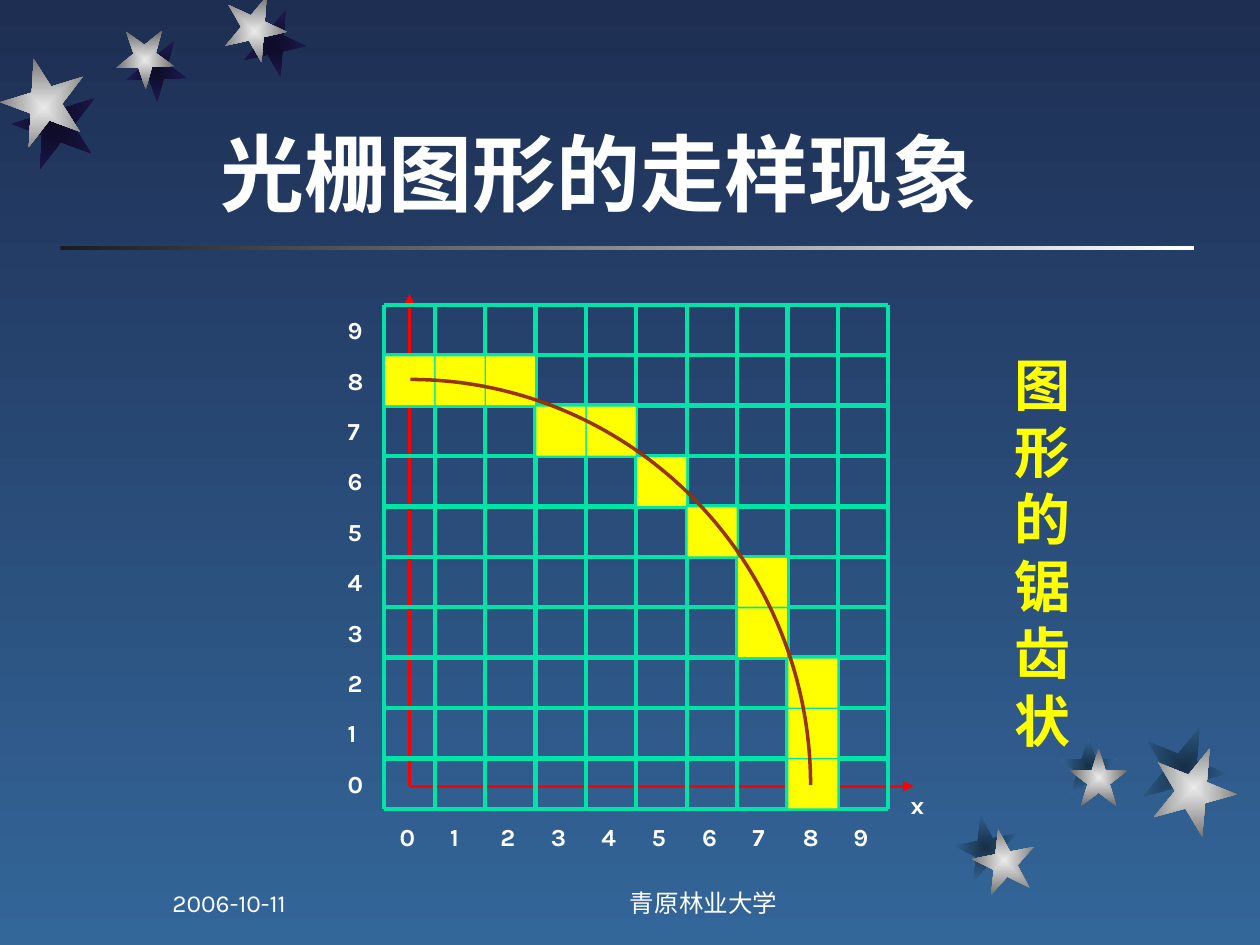
import pptx
import pptx.dml.color
import pptx.enum.shapes
import pptx.enum.text
import pptx.oxml
import pptx.oxml.ns
import pptx.util

SHAPE = pptx.enum.shapes.MSO_SHAPE
ANCHOR = pptx.enum.text.MSO_ANCHOR
ALIGN = pptx.enum.text.PP_ALIGN
WIDTH, HEIGHT = pptx.util.Inches(10), pptx.util.Inches(7.5)
CELL = pptx.util.Inches(0.4)
GRID_LEFT, GRID_TOP = pptx.util.Inches(3.05), pptx.util.Inches(2.42)
N = 10

SILVER = ("EAEAEA", "6B6B6B")
NIGHT_SHADE = ("0D0B26", "1E1A53")
BLUE_SHADE = ("172F46", "336699")
# Left and top in percent of the slide, size in percent of its width, rotation
STARS = [
    (NIGHT_SHADE, [(19.2, 1.5, 5, 167.3), (10, 4.4, 4.8, 178.3), (1, 9.2, 6.7, 200.3)]),
    (SILVER, [(17.7, 0, 5, 167.3), (9.2, 3.3, 4.6, 178.3), (0.1, 6.9, 6.7, 200.3)]),
    (BLUE_SHADE, [(75.8, 86.3, 5, 349), (84.1, 78, 4.6, 0), (90.6, 76.7, 6.7, 22)]),
    (SILVER, [(77.2, 87.7, 5, 349), (84.9, 79.2, 4.6, 0), (91.4, 78.9, 6.7, 22)]),
]
# Lit columns of each grid row, from the top row down
LIT = [[], [0, 1, 2], [3, 4], [5], [6], [7], [7], [8], [8], [8]]


def rgb(color):
    return pptx.dml.color.RGBColor.from_string(color)


def share(left, top, width, height):
    """Box in percent of the slide."""
    return [int(v * full / 100) for v, full in
            zip((left, top, width, height), (WIDTH, HEIGHT) * 2)]


def grid(col, row, cols, rows):
    """Box in columns and rows of the pixel grid."""
    return [int(GRID_LEFT + col * CELL), int(GRID_TOP + row * CELL),
            int(cols * CELL), int(rows * CELL)]


def set_gradient(fill, colors, angle=0):
    fill.gradient()
    fill.gradient_angle = angle
    for stop, color in zip(fill.gradient_stops, colors):
        stop.color.rgb = rgb(color)


def add_shape(s, kind, box):
    sp = s.shapes.add_shape(kind, *box)
    sp.shadow.inherit = False
    sp.line.fill.background()
    return sp


def add_star(s, colors, left, top, size, rotation):
    box = share(left, top, size, size * WIDTH / HEIGHT)
    sp = add_shape(s, SHAPE.STAR_5_POINT, box)
    sp.rotation = rotation
    set_gradient(sp.fill, colors)
    lin = sp._element.spPr.find(".//" + pptx.oxml.ns.qn("a:lin"))
    lin.getparent().replace(lin, pptx.oxml.parse_xml(
        f'<a:path {pptx.oxml.ns.nsdecls("a")} path="rect">'
        '<a:fillToRect l="50000" t="50000" r="50000" b="50000"/></a:path>'))


def add_text(s, text, box, size=14, color="FFFFFF", bold=True, font="Karla",
             wrap=True, anchor=ANCHOR.TOP, align=ALIGN.LEFT):
    tf = s.shapes.add_textbox(*box).text_frame
    tf.word_wrap = wrap
    tf.vertical_anchor = anchor
    p = tf.paragraphs[0]
    p.text = text
    p.alignment = align
    p.font.name = font
    p.font.size = pptx.util.Pt(size)
    p.font.bold = bold
    p.font.color.rgb = rgb(color)


def add_label(s, text, col, row):
    add_text(s, text, grid(col, row, 0.78, 0.85), wrap=False)


def add_line(s, start, end, color, width, arrow=False):
    """Line between two (column, row) points of the grid."""
    points = grid(*start, 0, 0)[:2] + grid(*end, 0, 0)[:2]
    line = s.shapes.add_connector(pptx.enum.shapes.MSO_CONNECTOR.STRAIGHT, *points)
    line.line.color.rgb = rgb(color)
    line.line.width = pptx.util.Pt(width)
    if arrow:
        line.line._get_or_add_ln().append(pptx.oxml.parse_xml(
            f'<a:tailEnd {pptx.oxml.ns.nsdecls("a")} type="triangle"/>'))
    line._element.spPr.append(pptx.oxml.parse_xml(
        f'<a:effectLst {pptx.oxml.ns.nsdecls("a")}/>'))


def add_decoration(s):
    set_gradient(s.background.fill, ("1E2E53", "336699"), 270)
    rule = add_shape(s, SHAPE.RECTANGLE, share(4.8, 26, 90, 0.45))
    set_gradient(rule.fill, ("1C1C1C", "FFFFFF"))
    for colors, stars in STARS:
        for star in stars:
            add_star(s, colors, *star)


def add_raster(s):
    """Axes, grid, lit pixels and the ideal arc."""
    origin = (0.5, 9.55)
    for end in ((10.5, 9.55), (0.5, -0.22)):
        add_line(s, origin, end, "FF0000", 1.5, arrow=True)
    for i in range(N + 1):
        add_line(s, (i, 0), (i, N), "00E4A8", 2.5)
        add_line(s, (0, i), (N, i), "00E4A8", 2.5)
    for n in range(N):
        add_label(s, str(n), -0.97, N - 1 - n + 0.08)
        add_label(s, str(n), n + 0.06, 10.13)
    add_label(s, "x", 10.2, 9.5)
    for row, cols in enumerate(LIT):
        for col in cols:
            pixel = add_shape(s, SHAPE.RECTANGLE, grid(col + 0.02, row + 0.02, 0.97, 0.97))
            pixel.fill.solid()
            pixel.fill.fore_color.rgb = rgb("FFFF00")
    arc = add_shape(s, SHAPE.ARC, grid(-7.42, 1.48, 15.88, 16.1))
    arc.fill.background()
    arc.line.color.rgb = rgb("993300")
    arc.line.width = pptx.util.Pt(2)


def main():
    prs = pptx.Presentation()
    prs.slide_width, prs.slide_height = WIDTH, HEIGHT
    s = prs.slides.add_slide(prs.slide_layouts[6])
    add_decoration(s)
    add_text(s, "光栅图形的走样现象", share(16.5, 8.4, 66.8, 15.73), size=48,
             anchor=ANCHOR.BOTTOM)
    add_raster(s)
    add_text(s, "图形的锯齿状", share(79.5, 36.4, 9.5, 45.73), size=32,
             color="FFFF00", font="Times New Roman")
    add_text(s, "青原林业大学", share(40, 91.07, 31.7, 6.67), bold=False,
             anchor=ANCHOR.BOTTOM, align=ALIGN.CENTER)
    add_text(s, "2006-10-11", share(12.7, 91.07, 20.8, 6.67), bold=False,
             anchor=ANCHOR.BOTTOM)
    prs.save("out.pptx")


if __name__ == "__main__":
    main()
